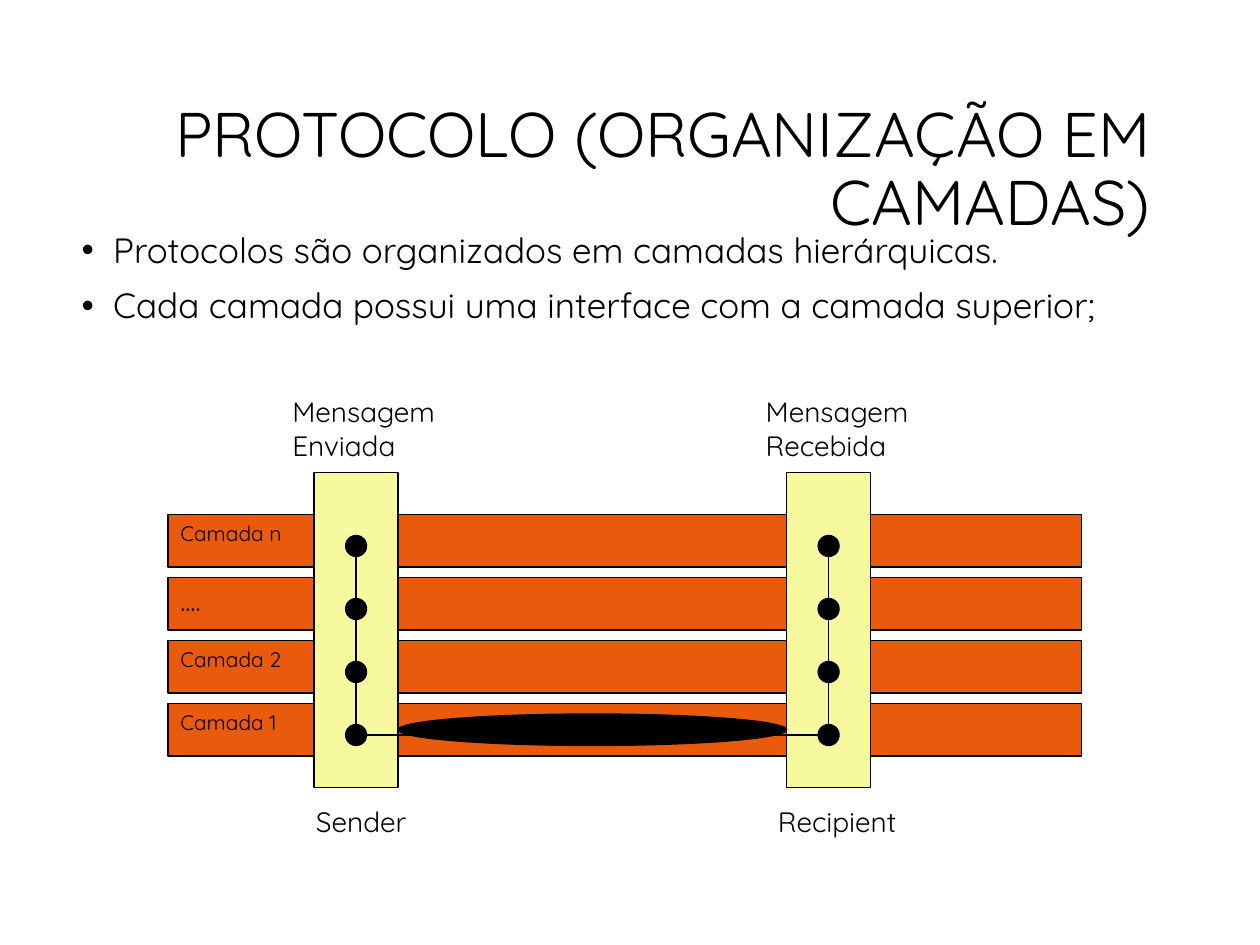
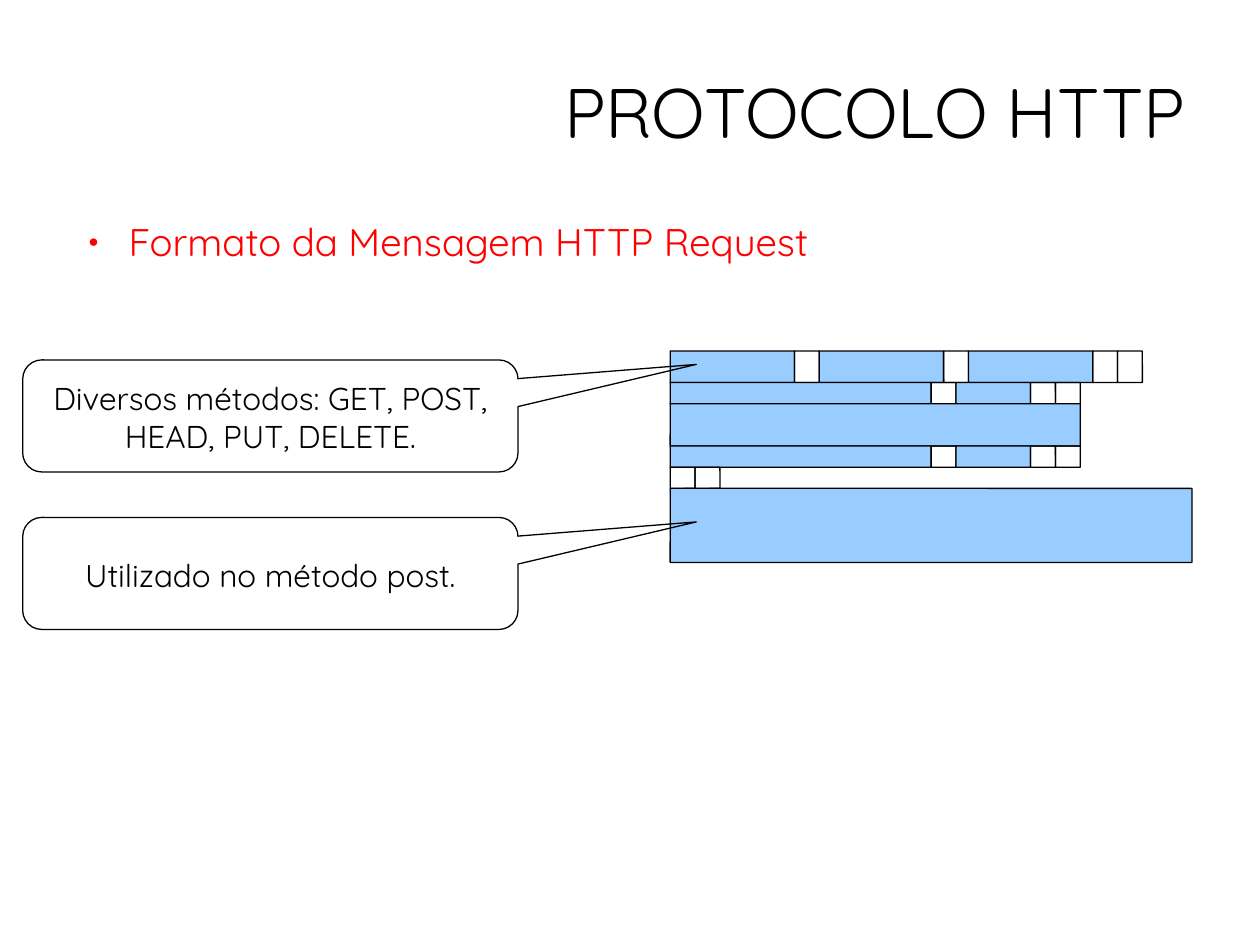
from lxml.etree import SubElement
from pptx import Presentation
from pptx.dml.color import RGBColor
from pptx.enum.shapes import MSO_CONNECTOR, MSO_SHAPE
from pptx.enum.text import MSO_ANCHOR as Anchor, MSO_AUTO_SIZE, PP_ALIGN as Align
from pptx.oxml.ns import qn
from pptx.util import Pt

FONT = "Quicksand"
BLACK, RED = "000000", "FF0000"
ORANGE, YELLOW, BLUE = "EA5A0C", "F7F99F", "99CCFF"
LINE_WIDTH = 0.75
LINE_SPACING = 0.9


def color(hex_value):
    return RGBColor.from_string(hex_value)


def place(shape, box):
    shape.left, shape.top, shape.width, shape.height = (Pt(value) for value in box)


def set_text(shape, lines, size, font_color=BLACK, align=Align.LEFT,
             anchor=Anchor.TOP, margins=(7.2, 3.6, 7.2, 3.6)):
    """Fill the text frame with one paragraph per line; margins run left, top, right, bottom."""
    frame = shape.text_frame
    frame.text = "\n".join(lines)
    frame.word_wrap = True
    frame.auto_size = MSO_AUTO_SIZE.NONE
    frame.vertical_anchor = anchor
    (frame.margin_left, frame.margin_top,
     frame.margin_right, frame.margin_bottom) = (Pt(value) for value in margins)
    for paragraph in frame.paragraphs:
        paragraph.alignment = align
        for run in paragraph.runs:
            run.font.name = FONT
            run.font.size = Pt(size)
            run.font.color.rgb = color(font_color)
    return frame


def add_label(slide, text, box, size):
    label = slide.shapes.add_textbox(*(Pt(value) for value in box))
    set_text(label, [text], size)


def add_outlined(slide, preset, box, fill=None, adjustments=()):
    shape = slide.shapes.add_shape(preset, *(Pt(value) for value in box))
    shape.shadow.inherit = False
    if fill:
        shape.fill.solid()
        shape.fill.fore_color.rgb = color(fill)
    else:
        shape.fill.background()
    shape.line.color.rgb = color(BLACK)
    shape.line.width = Pt(LINE_WIDTH)
    for index, value in enumerate(adjustments):
        shape.adjustments[index] = value
    return shape


def add_line(slide, *ends):
    """Draw a plain line from begin x, begin y to end x, end y."""
    line = slide.shapes.add_connector(MSO_CONNECTOR.STRAIGHT, *(Pt(value) for value in ends))
    line.line.color.rgb = color(BLACK)
    line.line.width = Pt(LINE_WIDTH)
    SubElement(line._element.spPr, qn("a:effectLst"))


def add_titled_slide(presentation, title, box, size, margins):
    slide = presentation.slides.add_slide(presentation.slide_layouts[5])
    place(slide.shapes.title, box)
    frame = set_text(slide.shapes.title, [title], size, align=Align.RIGHT,
                     anchor=Anchor.MIDDLE, margins=margins)
    frame.paragraphs[0].line_spacing = LINE_SPACING
    return slide


def add_bullets(slide, lines, box, size, indent, hanging, bullet,
                bullet_percent=100, **text_options):
    body = slide.shapes.add_textbox(*(Pt(value) for value in box))
    frame = set_text(body, lines, size, **text_options)
    for paragraph in frame.paragraphs:
        paragraph.line_spacing = LINE_SPACING
        paragraph.space_before = Pt(10)
        properties = paragraph._p.get_or_add_pPr()
        properties.set("marL", str(Pt(indent)))
        properties.set("indent", str(-Pt(hanging)))
        SubElement(properties, qn("a:buSzPct"), val=str(bullet_percent * 1000))
        SubElement(properties, qn("a:buFont"), typeface="Arial")
        SubElement(properties, qn("a:buChar"), char=bullet)


def draw_station(slide, left, top, layer_count, pitch):
    """Draw a tower with one dot per layer, joined by a vertical line."""
    width, dot, first_dot = 48, 12, 36
    center = left + width / 2
    add_outlined(slide, MSO_SHAPE.RECTANGLE, (left, top, width, 180), YELLOW)
    for index in range(layer_count):
        dot_top = top + first_dot + index * pitch
        add_outlined(slide, MSO_SHAPE.OVAL, (center - dot / 2, dot_top, dot, dot), BLACK)
    add_line(slide, center, top + first_dot,
             center, top + first_dot + (layer_count - 1) * pitch + dot / 2)


def draw_layer_diagram(slide, left, top, width):
    layers = [("Camada n", 12), ("....", 16), ("Camada 2", 12), ("Camada 1", 12)]
    pitch = 36
    bars_top = top + 72
    for index, (name, size) in enumerate(layers):
        bar_top = bars_top + index * pitch
        add_outlined(slide, MSO_SHAPE.RECTANGLE, (left, bar_top, width, 30), ORANGE)
        add_label(slide, name, (left, bar_top, 84, 26), size)

    sender, recipient = left + 83.5, left + 353.5
    for station in (sender, recipient):
        draw_station(slide, station, top + 48, len(layers), pitch)

    cable_left = sender + 48
    cable_y = top + 198
    add_outlined(slide, MSO_SHAPE.OVAL,
                 (cable_left, top + 186, recipient - cable_left, 18), BLACK)
    add_line(slide, sender + 24, cable_y, sender + 66, cable_y)
    add_line(slide, recipient + 18, cable_y, recipient - 18, cable_y)

    for text, x, y, label_width, height in [
        ("Mensagem Enviada", 64, 0, 114, 46),
        ("Mensagem Recebida", 334.5, 0, 113, 46),
        ("Sender", 77.5, 234, 72, 27),
        ("Recipient", 341.5, 234, 91.5, 27),
    ]:
        add_label(slide, text, (left + x, top + y, label_width, height), 16)


def draw_request_message(slide, left, top, unit):
    """Stack the message rows; field widths count the unit, and narrow ones stay empty."""
    header = [10.5, 1, 3, 1, 1]
    line_height = 12.1
    rows = [
        (18, [5, 1, 5, 1, 5, 1, 1]),
        (line_height, header),
        (2 * line_height, [sum(header)]),
        (line_height, header),
        (line_height, [1, 1]),
        (42.4, [21]),
    ]
    for height, fields in rows:
        x = left
        for field in fields:
            add_outlined(slide, MSO_SHAPE.ROUNDED_RECTANGLE, (x, top, field * unit, height),
                         BLUE if field > 1 else None, [0.01])
            x += field * unit
        top += height


def draw_callouts(slide, left, top, texts):
    for index, text in enumerate(texts):
        callout = add_outlined(slide, MSO_SHAPE.ROUNDED_RECTANGULAR_CALLOUT,
                               (left, top + index * 90, 283, 64),
                               adjustments=[0.86, -0.46, 0.17])
        set_text(callout, [text], 18, align=Align.CENTER, anchor=Anchor.MIDDLE,
                 margins=(6.5, 4.3, 6.5, 2.9))


def build_layers_slide(presentation):
    slide = add_titled_slide(presentation, "PROTOCOLO (ORGANIZAÇÃO EM CAMADAS)",
                             (16.5, 56, 648, 84), 36, (7.2, 3.6, 7.2, 3.6))
    add_bullets(slide, ["Protocolos são organizados em camadas hierárquicas.",
                        "Cada camada possui uma interface com a camada superior;"],
                (39.6, 129.6, 614, 84), 20, 18, 18, "•", align=Align.JUSTIFY)
    draw_layer_diagram(slide, 96, 222, 522)


def build_request_slide(presentation):
    slide = add_titled_slide(presentation, "PROTOCOLO HTTP",
                             (36, 21.6, 648, 90), 40, (6.5, 2.2, 6.5, 3.6))
    add_bullets(slide, ["Formato da Mensagem HTTP Request"], (36, 126, 648, 356),
                22, 31, 23, "●", 45, font_color=RED, margins=(6.5, 1.4, 6.5, 3.6))
    draw_request_message(slide, 383, 200.6, 14.2)
    draw_callouts(slide, 13, 205.7, ["Diversos métodos: GET, POST, HEAD, PUT, DELETE.",
                                     "Utilizado no método post."])


def main():
    presentation = Presentation()
    presentation.slide_width, presentation.slide_height = Pt(720), Pt(540)
    build_layers_slide(presentation)
    build_request_slide(presentation)
    presentation.save("out.pptx")


if __name__ == "__main__":
    main()
